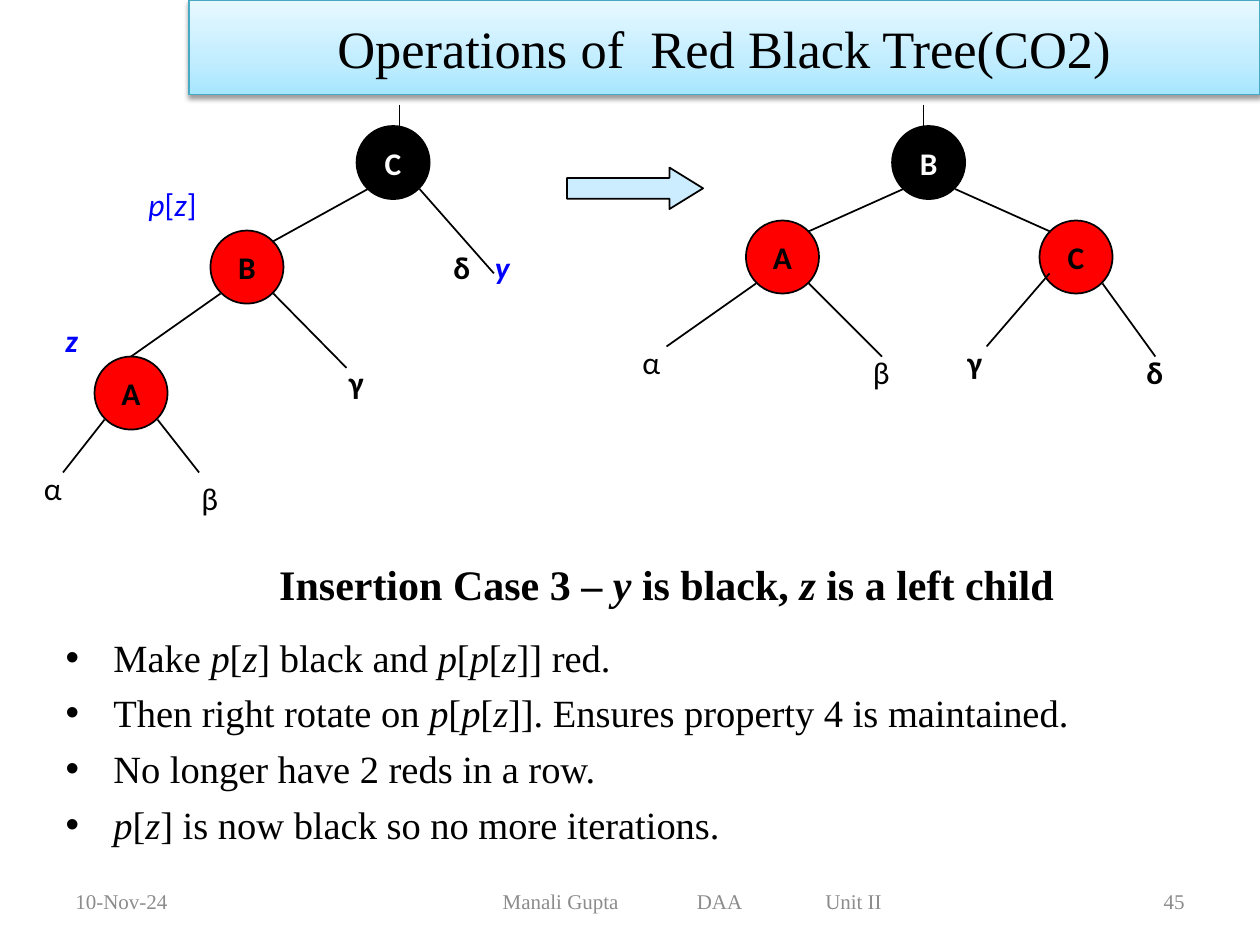
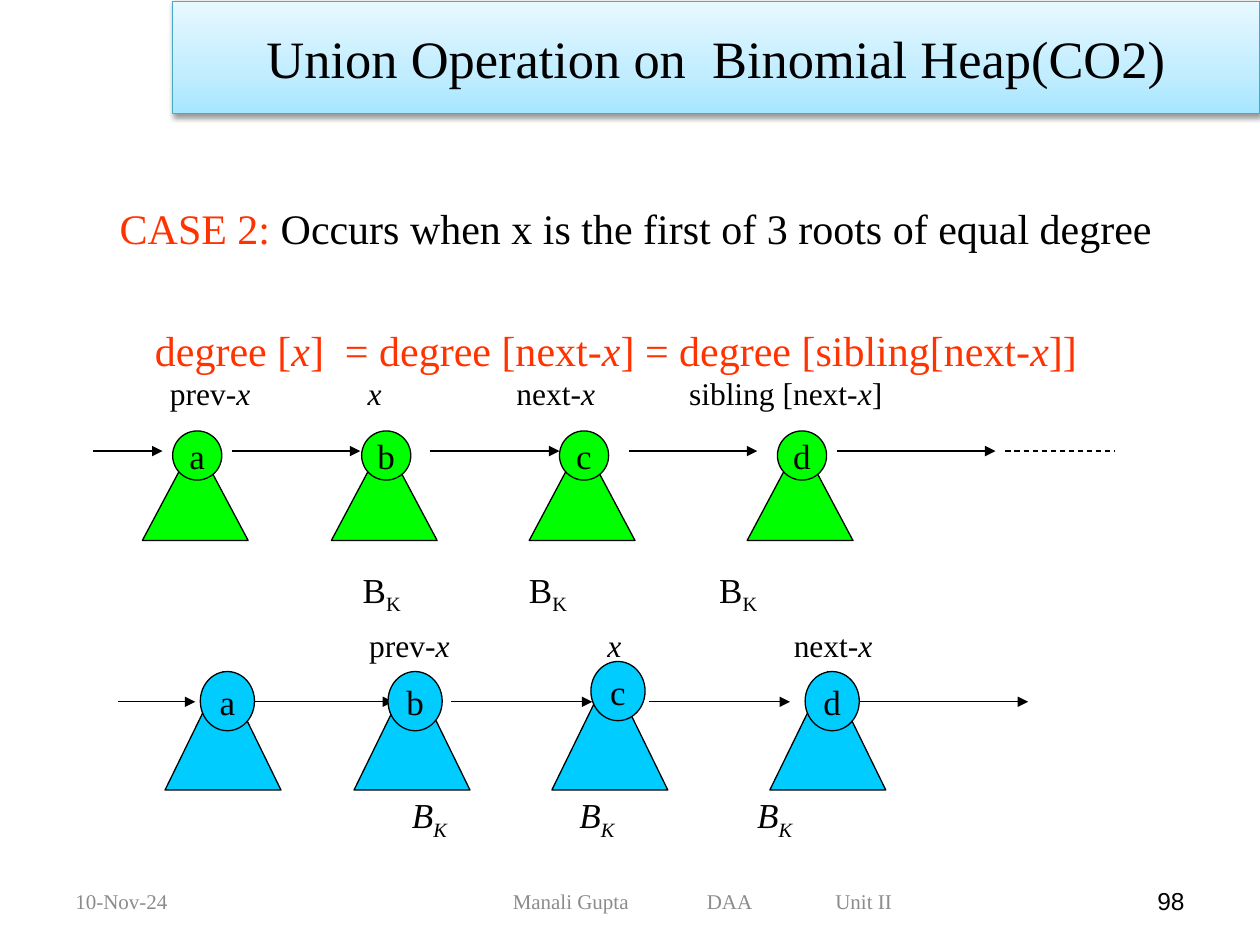
from copy import deepcopy

from lxml import etree
from pptx import Presentation
from pptx.dml.color import RGBColor
from pptx.enum import dml, shapes, text
from pptx.oxml.ns import qn
from pptx.util import Inches, Pt

COLORS = {
    "black": "000000", "white": "FFFFFF", "red": "FF0000", "blue": "0000FF",
    "arrow": "CCECFF", "green": "00FF00", "cyan": "00CCFF", "case": "FF3300",
    "footer": "8C8C8C", "band line": "46AAC5",
    "band low": "A7E6FF", "band middle": "C1EDFF", "band high": "E7F8FF",
}
RGB = {name: RGBColor.from_string(value) for name, value in COLORS.items()}
SERIF = {"name": "Times New Roman"}
LABEL = {"name": "Calibri", "size": Pt(18)}
BOLD_LABEL = {**LABEL, "bold": True}
FOOTER = {**SERIF, "size": Pt(12)}
HEAP_LABEL = {**SERIF, "size": Pt(18)}
HEAP_NAME = {**SERIF, "size": Pt(20)}


def write(paragraph, markup, color, font_format):
    """Add runs: *...* is italic and ~...~ is subscript."""
    for i, piece in enumerate(markup.split("*")):
        for j, part in enumerate(piece.split("~")):
            if not part:
                continue
            run = paragraph.add_run()
            run.text = part
            for name, value in {**font_format, "italic": i % 2 == 1}.items():
                setattr(run.font, name, value)
            run.font.color.rgb = RGB[color]
            if j % 2:
                run.font._element.set("baseline", "-25000")


def add_line(slide, begin, end, width, arrow=False):
    line = slide.shapes.add_connector(
        shapes.MSO_CONNECTOR.STRAIGHT, *map(Inches, begin + end))
    line.line.color.rgb = RGB["black"]
    line.line.width = Pt(width)
    if arrow:
        etree.SubElement(line.line._get_or_add_ln(), qn("a:tailEnd"), type="triangle")
    etree.SubElement(line._element.spPr, qn("a:effectLst"))
    return line


presentation = Presentation()
presentation.slide_width, presentation.slide_height = Inches(10), Inches(7.5)
layout = presentation.slide_layouts[1]
tree_slide, heap_slide = [presentation.slides.add_slide(layout) for _ in range(2)]

# Title bands
tree_band = tree_slide.shapes.add_shape(shapes.MSO_SHAPE.RECTANGLE, 0, 0, 0, 0)
for band, box, title in [
    (tree_band, (1.5, 0, 8.5, 0.75), "Operations of  Red Black Tree(CO2)"),
    (heap_slide.shapes.title, (1.37, 0.01, 8.63, 0.89),
     "Union Operation on  Binomial Heap(CO2)"),
]:
    band.left, band.top, band.width, band.height = map(Inches, box)
    band.fill.gradient()
    band.fill.gradient_angle = 90
    stop_list = next(band._element.spPr.iter(qn("a:gsLst")))
    stop_list.append(deepcopy(stop_list[0]))
    for stop, position, color in zip(
            band.fill.gradient_stops, (0, 0.35, 1), ("band low", "band middle", "band high")):
        stop.position = position
        stop.color.rgb = RGB[color]
    band.line.color.rgb = RGB["band line"]
    band.line.width = Pt(0.75)
    band.shadow.inherit = False
    shadow = etree.SubElement(
        band._element.spPr.find(qn("a:effectLst")), qn("a:outerShdw"),
        blurRad=str(Pt(3.1)), dist=str(Pt(1.6)), dir="5400000", rotWithShape="0")
    shadow_color = etree.SubElement(shadow, qn("a:srgbClr"), val=COLORS["black"])
    etree.SubElement(shadow_color, qn("a:alpha"), val="38000")
    frame = band.text_frame
    frame.auto_size = text.MSO_AUTO_SIZE.NONE
    frame.vertical_anchor = text.MSO_ANCHOR.MIDDLE
    frame.paragraphs[0].alignment = text.PP_ALIGN.CENTER
    write(frame.paragraphs[0], title, "black", {**SERIF, "size": Pt(30)})

# Case heading below the trees
heading = tree_slide.shapes.title
heading.left, heading.top, heading.width, heading.height = map(Inches, (0.29, 4.13, 10, 1))
heading.text_frame.auto_size = text.MSO_AUTO_SIZE.NONE
heading.text_frame.vertical_anchor = text.MSO_ANCHOR.MIDDLE
heading.text_frame.paragraphs[0].alignment = text.PP_ALIGN.CENTER
write(heading.text_frame.paragraphs[0],
      "Insertion Case 3 – *y *is black, *z* is a left child",
      "black", {**SERIF, "size": Pt(24), "bold": True})

# Body lists: (indent, bullet, space before, [(text, colour)])
steps = [
    "Make *p*[*z*] black and *p*[*p*[*z*]] red.",
    "Then right rotate on *p*[*p*[*z*]]. Ensures property 4 is maintained.",
    "No longer have 2 reds in a row.",
    "*p*[*z*] is now black so no more iterations.",
]
conditions = [
    (0.22, False, 0, [("CASE 2:", "case"),
                      (" Occurs when x is the first of 3 roots of equal degree", "black")]),
    (0.5, False, 41, [("degree [*x*]  = degree [next-*x*] = degree [sibling[next-*x*]]",
                       "case")]),
]
for slide, box, size, lines in [
    (tree_slide, (0.42, 4.98, 9.25, 1.69), 22,
     [(0.38, True, 5.4, [(step, "black")]) for step in steps]),
    (heap_slide, (0.63, 1.56, 8.82, 1.1), 24, conditions),
]:
    body = slide.placeholders[1]
    body.left, body.top, body.width, body.height = map(Inches, box)
    frame = body.text_frame
    frame.auto_size = text.MSO_AUTO_SIZE.NONE
    for i, (indent, bullet, space, parts) in enumerate(lines):
        paragraph = frame.add_paragraph() if i else frame.paragraphs[0]
        properties = paragraph._p.get_or_add_pPr()
        properties.set("marL", str(Inches(indent)))
        properties.set("indent", str(-Inches(indent) if bullet else 0))
        if bullet:
            etree.SubElement(properties, qn("a:buFont"), typeface="Arial")
            etree.SubElement(properties, qn("a:buChar"), char="•")
        else:
            etree.SubElement(properties, qn("a:buNone"))
        paragraph.space_before = Pt(space if i else 0)
        for markup, color in parts:
            write(paragraph, markup, color, {**SERIF, "size": Pt(size)})

# Heap root lists: arrows lie behind the trees
for y, spans in [
    (3.58, [(0.74, 1.29), (1.84, 2.86), (3.41, 4.44), (4.99, 6.01), (6.64, 7.9)]),
    (5.57, [(0.94, 1.55), (2, 3.12), (3.58, 4.7), (5.15, 6.27), (6.78, 8.16)]),
]:
    for start, stop in spans:
        add_line(heap_slide, (start, y), (stop, y), 0.75, arrow=True)
rest = add_line(heap_slide, (7.98, 3.58), (8.85, 3.58), 0.75)
rest.line.dash_style = dml.MSO_LINE.DASH

# Filled shapes: (slide, kind, box, fill, line width, text, text colour, font)
OVAL = shapes.MSO_SHAPE.OVAL
TRIANGLE = shapes.MSO_SHAPE.ISOSCELES_TRIANGLE
filled = [(tree_slide, shapes.MSO_SHAPE.RIGHT_ARROW, (4.5, 1.33, 1.08, 0.33),
           "arrow", 1, "", "black", LABEL)]
for name, left, top, fill, color in [
    ("C", 2.83, 1, "black", "white"), ("B", 1.67, 1.83, "red", "black"),
    ("A", 0.75, 2.83, "red", "black"), ("B", 7.08, 1, "black", "white"),
    ("A", 5.92, 1.75, "red", "black"), ("C", 8.25, 1.75, "red", "black"),
]:
    filled.append((tree_slide, OVAL, (left, top, 0.58, 0.58), fill, 1, name, color, BOLD_LABEL))
for name, left, root_left, root_top in [
    ("a", 1.13, 1.59, 5.33), ("b", 2.63, 3.08, 5.33),
    ("c", 4.2, 4.69, 5.25), ("d", 5.93, 6.39, 5.33),
]:
    for kind, box, fill, label in [
        (TRIANGLE, (left, 3.5, 0.84, 0.79), "green", ""),
        (OVAL, (left + 0.24, 3.42, 0.39, 0.39), "green", name),
        (TRIANGLE, (left + 0.18, 5.33, 0.92, 0.94), "cyan", ""),
        (OVAL, (root_left, root_top, 0.43, 0.47), "cyan", name),
    ]:
        filled.append((heap_slide, kind, box, fill, 0.75, label, "black", HEAP_NAME))
for slide, kind, box, fill, width, label, color, font_format in filled:
    shape = slide.shapes.add_shape(kind, *map(Inches, box))
    shape.shadow.inherit = False
    shape.fill.solid()
    shape.fill.fore_color.rgb = RGB[fill]
    shape.line.color.rgb = RGB["black"]
    shape.line.width = Pt(width)
    if kind == shapes.MSO_SHAPE.RIGHT_ARROW:
        shape.adjustments[1] = 0.81
    if label:
        shape.text_frame.word_wrap = False
        shape.text_frame.vertical_anchor = text.MSO_ANCHOR.MIDDLE
        shape.text_frame.paragraphs[0].alignment = text.PP_ALIGN.CENTER
        write(shape.text_frame.paragraphs[0], label, color, font_format)

# Tree edges
for begin, end in [
    ((3.17, 0.83), (3.17, 1)), ((2.92, 1.5), (2.16, 1.92)), ((3.33, 1.5), (3.92, 2.17)),
    ((1.75, 2.33), (1.04, 2.83)), ((2.17, 2.33), (2.75, 2.92)),
    ((0.83, 3.33), (0.5, 3.75)), ((1.25, 3.33), (1.58, 3.75)),
    ((7.33, 0.83), (7.33, 1)), ((7.17, 1.5), (6.41, 1.84)), ((7.58, 1.5), (8.34, 1.84)),
    ((6, 2.25), (5.29, 2.75)), ((6.42, 2.25), (7, 2.83)),
    ((8.33, 2.17), (7.83, 2.75)), ((8.75, 2.25), (9.17, 2.83)),
]:
    add_line(tree_slide, begin, end, 1)

# Text boxes: (slide, box, text, colour, font, left inset, tab stops)
boxes = []
for label, left, top, width, color, font_format in [
    ("α", 0.25, 3.67, 0.41, "black", LABEL), ("β", 1.5, 3.75, 0.38, "black", LABEL),
    ("γ", 2.67, 2.83, 0.41, "black", BOLD_LABEL), ("δ", 3.5, 1.92, 0.37, "black", BOLD_LABEL),
    ("α", 5, 2.67, 0.41, "black", LABEL), ("β", 6.83, 2.75, 0.38, "black", LABEL),
    ("γ", 7.58, 2.67, 0.42, "black", BOLD_LABEL), ("δ", 9, 2.75, 0.37, "black", BOLD_LABEL),
    ("*y*", 3.83, 1.92, 0.35, "blue", BOLD_LABEL), ("*z*", 0.42, 2.5, 0.33, "blue", BOLD_LABEL),
    ("*p*[*z*]", 1.08, 1.42, 0.72, "blue", LABEL),
]:
    boxes.append((tree_slide, (left, top, width, 0.5), label, color, font_format, 0.1, ()))
for box, label, font_format, inset, tabs in [
    ((1.25, 2.92, 7.28, 0.4), "prev-*x*\t*x*\tnext-*x*\tsibling [next-*x*]",
     HEAP_LABEL, 0.1, (1.57, 2.75, 4.12)),
    ((2.58, 4.92, 6.14, 0.4), "prev-*x*\t*x*\tnext-*x*", HEAP_LABEL, 0.35, (1.89, 3.37)),
    ((2.78, 4.46, 4.96, 0.43), "B~K~\tB~K~\tB~K~", HEAP_NAME, 0.1, (1.32, 2.83)),
    ((3.17, 6.25, 4.88, 0.43), "*B~K~\tB~K~\tB~K~*", HEAP_NAME, 0.1, (1.33, 2.74)),
]:
    boxes.append((heap_slide, box, label, "black", font_format, inset, tabs))

# Footers
FOOTER_TOP, FOOTER_HEIGHT = 6.95, 0.4
for slide, number, color, font_format, width, inset in [
    (tree_slide, "45", "footer", FOOTER, 4.16, 0.57),
    (heap_slide, "98", "black", {"name": "Arial", "size": Pt(14)}, 4.33, 0.65),
]:
    boxes += [
        (slide, (0.5, FOOTER_TOP, 2.33, FOOTER_HEIGHT), "10-Nov-24", "footer", FOOTER, 0.1, ()),
        (slide, (3.42, FOOTER_TOP, width, FOOTER_HEIGHT), "Manali Gupta\tDAA\tUnit II",
         "footer", FOOTER, inset, (1.54, 2.56)),
        (slide, (7.17, FOOTER_TOP, 2.33, FOOTER_HEIGHT), number, color, font_format, 0.1, ()),
    ]
for slide, box, markup, color, font_format, inset, tabs in boxes:
    frame = slide.shapes.add_textbox(*map(Inches, box)).text_frame
    frame.word_wrap = True
    frame.margin_left = Inches(inset)
    paragraph = frame.paragraphs[0]
    if box[1] == FOOTER_TOP:
        frame.vertical_anchor = text.MSO_ANCHOR.MIDDLE
    if markup.isdigit():
        paragraph.alignment = text.PP_ALIGN.RIGHT
    if tabs:
        tab_list = etree.SubElement(paragraph._p.get_or_add_pPr(), qn("a:tabLst"))
        for tab in tabs:
            etree.SubElement(tab_list, qn("a:tab"), pos=str(Inches(tab)), algn="l")
    write(paragraph, markup, color, font_format)

presentation.save("out.pptx")
